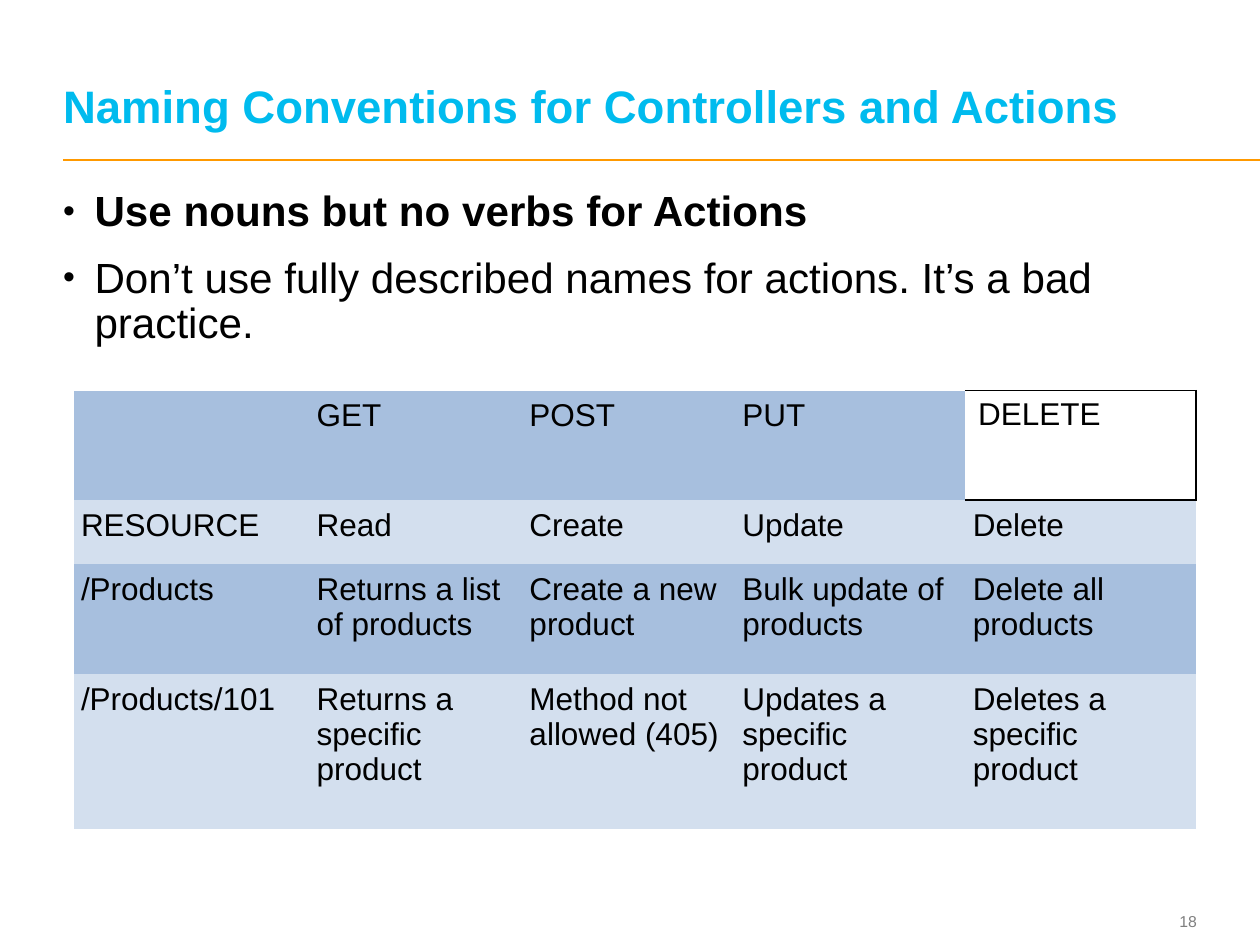
from lxml import etree
from pptx import Presentation
from pptx.dml.color import RGBColor
from pptx.enum.shapes import MSO_CONNECTOR
from pptx.enum.text import MSO_ANCHOR, MSO_AUTO_SIZE, PP_ALIGN
from pptx.oxml.ns import qn
from pptx.util import Pt

STRAIGHT = MSO_CONNECTOR.STRAIGHT
LEFT, RIGHT = PP_ALIGN.LEFT, PP_ALIGN.RIGHT
TOP, MIDDLE, BOTTOM = MSO_ANCHOR.TOP, MSO_ANCHOR.MIDDLE, MSO_ANCHOR.BOTTOM
NO_FIT = MSO_AUTO_SIZE.NONE

COLORS = {
    "title": "00BBEE",
    "rule": "FF9900",
    "text": "000000",
    "number": "7F7F7F",
    "dark band": "A7BFDE",
    "light band": "D3DFEE",
}
FONT = "Arial"
TITLE = "Naming Conventions for Controllers and Actions"
ADVICE = [
    ("Use nouns but no verbs for Actions", True),
    ("Don’t use fully described names for actions. It’s a bad practice.", False),
]
ACTIONS = [
    ["", "GET", "POST", "PUT", "DELETE"],
    ["RESOURCE", "Read", "Create", "Update", "Delete"],
    ["/Products", "Returns a list of products", "Create a new product",
     "Bulk update of products", "Delete all products"],
    ["/Products/101", "Returns a specific product", "Method not allowed (405)",
     "Updates a specific product", "Deletes a specific product"],
]
COLUMN_WIDTHS = [134.64, 121.68, 121.68, 131.76, 131.76]
ROW_HEIGHTS = [62.64, 36.72, 62.64, 88.56]
OUTLINED = (0, 4)
OUTLINED_EDGES = {OUTLINED: "RTB", (1, 4): "T"}


class SlideBuilder:
    """Holds the style and the current slide and adds each kind of element."""

    def __init__(self, slide):
        self.slide = slide

    def color(self, name):
        return RGBColor.from_string(COLORS[name])

    def style(self, font, size, color="text", bold=False):
        font.name, font.size, font.bold = FONT, Pt(size), bold
        font.color.rgb = self.color(color)

    def place(self, shape, left, top, width, height, anchor):
        shape.left, shape.top = Pt(left), Pt(top)
        shape.width, shape.height = Pt(width), Pt(height)
        frame = shape.text_frame
        frame.margin_left = frame.margin_right = 0
        frame.margin_top = frame.margin_bottom = 0
        frame.word_wrap, frame.auto_size = True, NO_FIT
        frame.vertical_anchor = anchor
        return frame

    def title(self, text, *box):
        frame = self.place(self.slide.shapes.title, *box, BOTTOM)
        frame.text = text
        heading = frame.paragraphs[0]
        heading.alignment, heading.line_spacing = LEFT, Pt(26)
        self.style(heading.font, 26, "title", True)

    def bullets(self, items, *box):
        frame = self.place(self.slide.placeholders[1], *box, TOP)
        frame.text = "\n".join(text for text, _ in items)
        for index, (item, (_, bold)) in enumerate(zip(frame.paragraphs, items)):
            item.line_spacing = 0.9
            item.space_before = Pt(12 if index else 0)
            props = item._p.get_or_add_pPr()
            props.set("marL", str(Pt(18)))
            props.set("indent", str(-Pt(18)))
            tint = etree.SubElement(props, qn("a:buClr"))
            etree.SubElement(tint, qn("a:srgbClr"), val=COLORS["text"])
            etree.SubElement(props, qn("a:buSzPct"), val="80000")
            etree.SubElement(props, qn("a:buFont"), typeface=FONT)
            etree.SubElement(props, qn("a:buChar"), char="•")
            self.style(item.font, 24.1, bold=bold)

    def rule(self, left, right, top):
        line = self.slide.shapes.add_connector(
            STRAIGHT, Pt(left), Pt(top), Pt(right), Pt(top))
        line.line.color.rgb, line.line.width = self.color("rule"), Pt(1)
        etree.SubElement(line._element.spPr, qn("a:effectLst"))

    def page_number(self, text, *box):
        number_box = self.slide.shapes.add_textbox(0, 0, 0, 0)
        frame = self.place(number_box, *box, MIDDLE)
        frame.text = text
        number = frame.paragraphs[0]
        number.alignment = RIGHT
        self.style(number.font, 9, "number")

    def borders(self, cell, edges):
        props = cell._tc.get_or_add_tcPr()
        for side in "LRTB":
            edge = etree.SubElement(props, qn(f"a:ln{side}"), w=str(Pt(1)))
            if side in edges:
                fill = etree.SubElement(edge, qn("a:solidFill"))
                etree.SubElement(fill, qn("a:srgbClr"), val=COLORS["text"])
            else:
                etree.SubElement(edge, qn("a:noFill"))

    def table(self, rows, left, top):
        table = self.slide.shapes.add_table(
            len(rows), len(rows[0]), Pt(left), Pt(top),
            Pt(sum(COLUMN_WIDTHS)), Pt(sum(ROW_HEIGHTS))).table
        table.first_row = table.horz_banding = False
        for column, width in zip(table.columns, COLUMN_WIDTHS):
            column.width = Pt(width)
        for r, (row, height) in enumerate(zip(rows, ROW_HEIGHTS)):
            table.rows[r].height = Pt(height)
            for c, text in enumerate(row):
                cell = table.cell(r, c)
                self.borders(cell, OUTLINED_EDGES.get((r, c), ""))
                cell.text = text
                self.style(cell.text_frame.paragraphs[0].font, 18)
                if (r, c) == OUTLINED:
                    cell.fill.background()
                    continue
                cell.margin_left = cell.margin_right = Pt(4.3)
                cell.margin_top = cell.margin_bottom = Pt(4.3)
                cell.fill.solid()
                band = "light band" if r % 2 else "dark band"
                cell.fill.fore_color.rgb = self.color(band)


def main():
    deck = Presentation()
    deck.slide_width, deck.slide_height = Pt(720), Pt(540)
    builder = SlideBuilder(deck.slides.add_slide(deck.slide_layouts[1]))
    builder.rule(36, 720, 91.44)
    builder.page_number("18", 641.5, 517, 42.5, 19.4)
    builder.bullets(ADVICE, 36, 108.72, 648, 95.04)
    builder.title(TITLE, 36, 13.68, 645.84, 61.92)
    builder.table(ACTIONS, 42, 223.2)
    deck.save("out.pptx")


if __name__ == "__main__":
    main()
